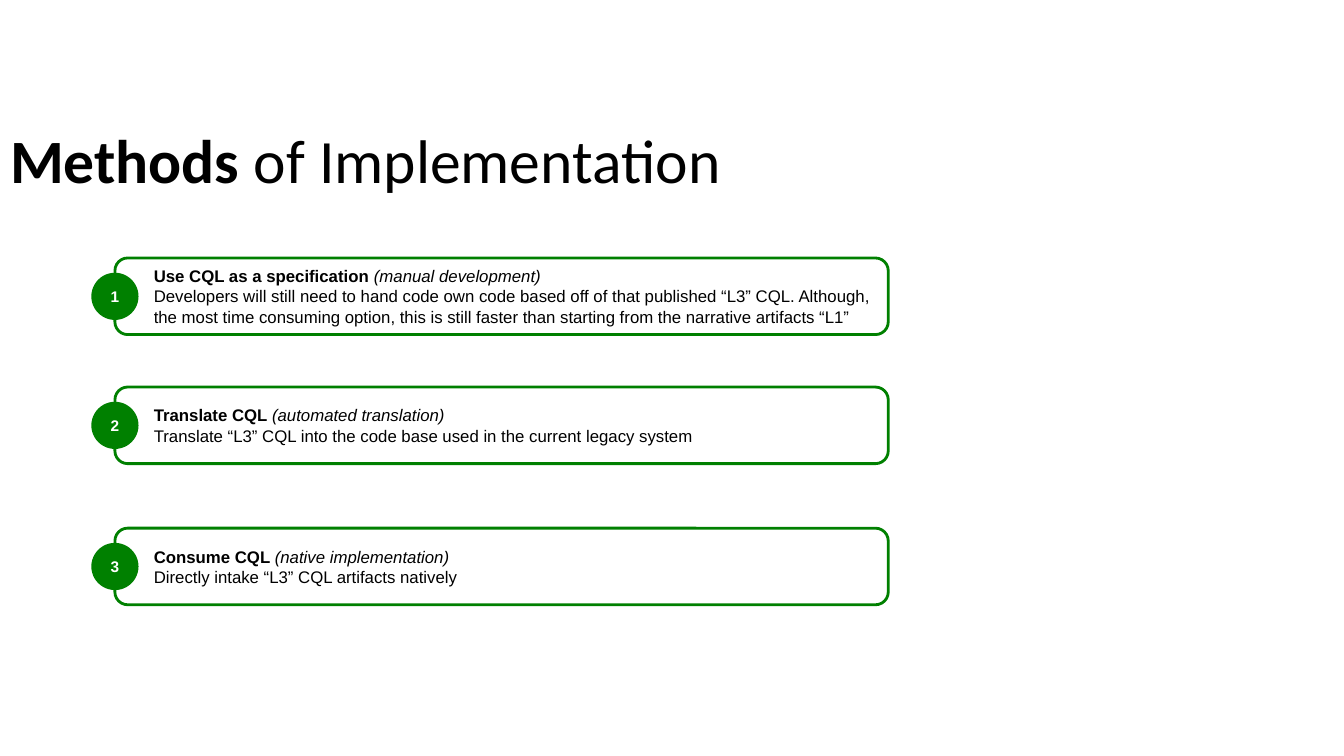
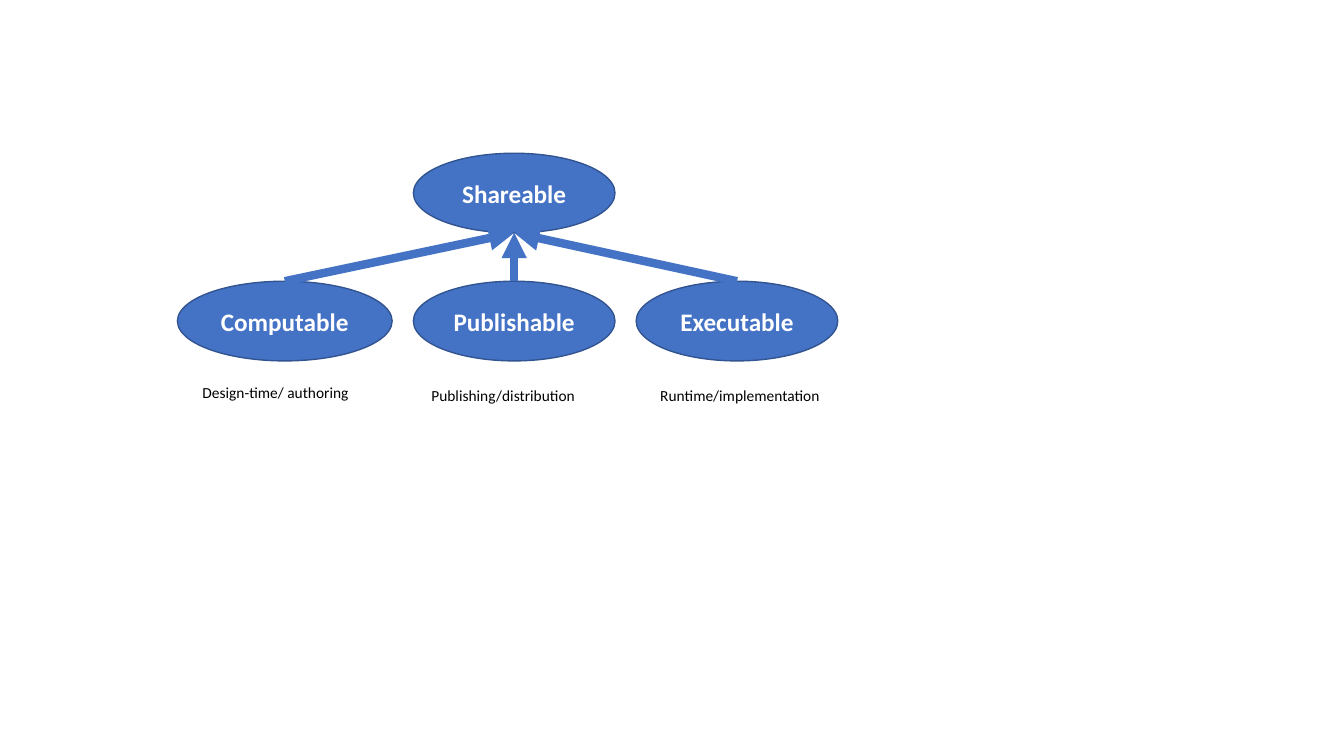
from dataclasses import dataclass

from lxml.etree import SubElement
from pptx import Presentation
from pptx.dml.color import RGBColor
from pptx.enum.shapes import MSO_CONNECTOR, MSO_SHAPE
from pptx.enum.text import MSO_ANCHOR, MSO_AUTO_SIZE, PP_ALIGN
from pptx.oxml.ns import qn
from pptx.util import Inches, Pt


@dataclass(frozen=True)
class Theme:
    black: str = "000000"
    white: str = "FFFFFF"
    green: str = "008000"
    blue: str = "4472C4"
    navy: str = "325491"
    head_font: str = "Calibri"
    card_font: str = "Arial"
    title_size: int = 44
    node_size: int = 18
    card_size: int = 12
    small_size: int = 11


T = Theme()
SLIDE_W, SLIDE_H = 13.33, 7.5

# Card top, heading, method, description
METHODS = [
    (2.56, "Use CQL as a specification ", "(manual development)",
     "Developers will still need to hand code own code based off of that published “L3” CQL. "
     "Although, the most time consuming option, this is still faster than starting from the "
     "narrative artifacts “L1”"),
    (3.84, "Translate CQL ", "(automated translation)",
     "Translate “L3” CQL into the code base used in the current legacy system"),
    (5.24, "Consume CQL ", "(native implementation)",
     "Directly intake “L3” CQL artifacts natively"),
]

# Node label, node width, caption, caption top below the node row
STAGES = [
    ("Computable", 2.13, "Design-time/ authoring", 0.96),
    ("Publishable", 2, "Publishing/distribution", 0.99),
    ("Executable", 2, "Runtime/implementation", 0.99),
]


def inches(box):
    return [Inches(v) for v in box]


def add_run(p, text, size, font, color=T.black, bold=False, italic=False):
    r = p.add_run()
    r.text = text
    r.font.size, r.font.name = Pt(size), font
    r.font.bold, r.font.italic = bold, italic
    r.font.color.rgb = RGBColor.from_string(color)


def add_box(s, kind, box, line, width, fill=None):
    """Add a preset shape with middle-anchored, wrapped text."""
    sp = s.shapes.add_shape(kind, *inches(box))
    sp.shadow.inherit = False
    if fill:
        sp.fill.solid()
        sp.fill.fore_color.rgb = RGBColor.from_string(fill)
    else:
        sp.fill.background()
    sp.line.color.rgb = RGBColor.from_string(line)
    sp.line.width = Pt(width)
    sp.text_frame.word_wrap = True
    sp.text_frame.vertical_anchor = MSO_ANCHOR.MIDDLE
    return sp


def add_title(s, box, bold_part, rest):
    sp = s.shapes.title
    sp.left, sp.top, sp.width, sp.height = inches(box)
    tf = sp.text_frame
    tf.auto_size = MSO_AUTO_SIZE.NONE
    tf.vertical_anchor = MSO_ANCHOR.MIDDLE
    p = tf.paragraphs[0]
    p.alignment, p.line_spacing = PP_ALIGN.LEFT, 0.9
    add_run(p, bold_part, T.title_size, T.head_font, bold=True)
    add_run(p, rest, T.title_size, T.head_font)


def add_card(s, box, heading, method, description):
    sp = add_box(s, MSO_SHAPE.ROUNDED_RECTANGLE, box, T.green, 2)
    tf = sp.text_frame
    first, second = tf.paragraphs[0], tf.add_paragraph()
    for p in (first, second):
        p.alignment = PP_ALIGN.LEFT
        p._p.get_or_add_pPr().set("marL", str(Inches(0.25)))
    add_run(first, heading, T.card_size, T.card_font, bold=True)
    add_run(first, method, T.card_size, T.card_font, italic=True)
    add_run(second, description, T.card_size, T.card_font)


def add_badge(s, card_box, number, size=0.44):
    """Centre a numbered disc on the left edge of a card."""
    x, y, _, h = card_box
    box = (x - size / 2, y + (h - size) / 2, size, size)
    sp = add_box(s, MSO_SHAPE.OVAL, box, T.green, 2, T.green)
    tf = sp.text_frame
    tf.margin_left = tf.margin_right = tf.margin_top = tf.margin_bottom = 0
    p = tf.paragraphs[0]
    p.alignment = PP_ALIGN.CENTER
    add_run(p, str(number), T.small_size, T.card_font, T.white, bold=True)


def add_node(s, box, label):
    sp = add_box(s, MSO_SHAPE.OVAL, box, T.navy, 1, T.blue)
    p = sp.text_frame.paragraphs[0]
    p.alignment = PP_ALIGN.CENTER
    add_run(p, label, T.node_size, T.head_font, T.white, bold=True)
    return sp


def add_arrow(s, child, parent):
    """Point from the top of one node to the bottom of another."""
    cx = s.shapes.add_connector(
        MSO_CONNECTOR.STRAIGHT, child.left + child.width // 2, child.top,
        parent.left + parent.width // 2, parent.top + parent.height)
    cx.begin_connect(child, 0)
    cx.line.color.rgb = RGBColor.from_string(T.blue)
    cx.line.width = Pt(6)
    SubElement(cx.line._get_or_add_ln(), qn("a:tailEnd"), type="triangle")
    SubElement(cx._element.spPr, qn("a:effectLst"))


def add_caption(s, box, text):
    tf = s.shapes.add_textbox(*inches(box)).text_frame
    tf.word_wrap = True
    tf.auto_size = MSO_AUTO_SIZE.SHAPE_TO_FIT_TEXT
    add_run(tf.paragraphs[0], text, T.small_size, T.head_font)


def methods_slide(prs):
    s = prs.slides.add_slide(prs.slide_layouts[5])
    add_title(s, (0, 1.14, 11.5, 0.97), "Methods", " of Implementation")
    for number, (top, *texts) in enumerate(METHODS, 1):
        box = (1.14, top, 7.67, 0.76)
        add_card(s, box, *texts)
        add_badge(s, box, number)


def stages_slide(prs):
    s = prs.slides.add_slide(prs.slide_layouts[6])
    left, row, height, gap = 1.76, 2.79, 0.79, 0.21
    root = add_node(s, (4.1, 1.52, 2, height), "Shareable")

    # Row of nodes, each with an arrow up and a caption below
    for i, (label, width, caption, drop) in enumerate(STAGES):
        node = add_node(s, (left, row, width, height), label)
        add_arrow(s, node, root)
        add_caption(s, (1.91 + 2.27 * i, row + drop, 1.83, 0.29), caption)
        left += width + gap


def main():
    prs = Presentation()
    prs.slide_width, prs.slide_height = Inches(SLIDE_W), Inches(SLIDE_H)
    methods_slide(prs)
    stages_slide(prs)
    prs.save("out.pptx")


if __name__ == "__main__":
    main()
